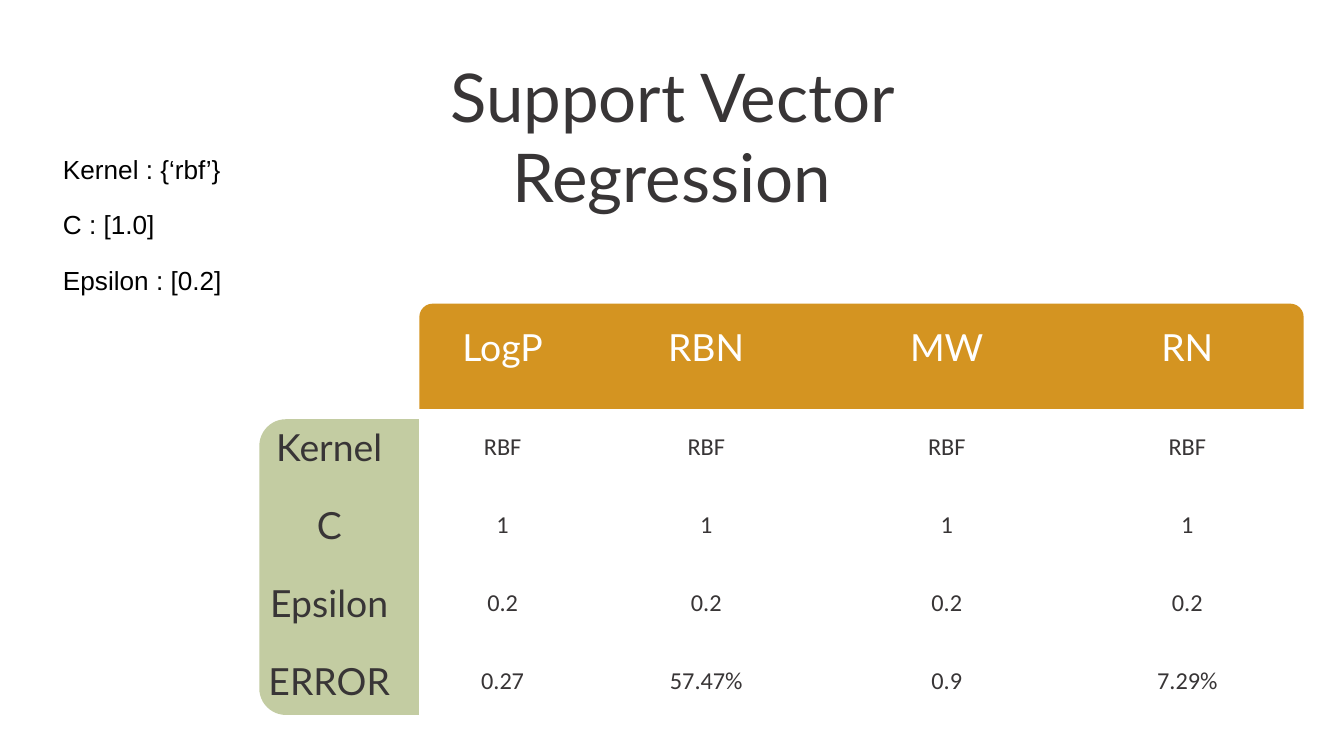
from pptx import Presentation
from pptx.dml.color import RGBColor
from pptx.enum.shapes import MSO_SHAPE
from pptx.enum.text import MSO_ANCHOR, MSO_AUTO_SIZE, PP_ALIGN
from pptx.util import Inches, Pt

COLORS = {"gold": "D49421", "sage": "C3CCA2", "white": "FFFFFF",
          "ink": "383536", "black": "000000"}
PLAIN = "{2D5ABB26-0587-4C30-8999-92F81FD0307C}"  # table style without grid


def tint(name):
    return RGBColor.from_string(COLORS[name])


def style(par, face, size, color):
    font = par.runs[0].font
    font.name, font.size, font.bold = face, Pt(size), False
    font.color.rgb = tint(color)


deck = Presentation()
deck.slide_width = Inches(10)
deck.slide_height = deck.slide_width * 9 // 16
slide = deck.slides.add_slide(deck.slide_layouts[5])
shapes = slide.shapes

# Title
title = shapes.title
title.left, title.top = Inches(2.65), Inches(0.31)
title.width, title.height = Inches(4.7), Inches(0.69)
frame = title.text_frame
frame.text = "Support Vector Regression"
frame.word_wrap = True
frame.auto_size = MSO_AUTO_SIZE.NONE
frame.vertical_anchor = MSO_ANCHOR.TOP
frame.margin_left = frame.margin_right = Inches(0.1)
frame.margin_top = frame.margin_bottom = Inches(0.1)
frame.paragraphs[0].alignment = PP_ALIGN.CENTER
style(frame.paragraphs[0], "Lato", 36, "ink")

# Rounded panels behind the table: header, row labels, body
panels = [("gold", 3.12, 2.26, 6.58, 1.1),
          ("sage", 1.93, 3.12, 4.7, 2.2),
          ("white", 3.12, 3.13, 6.58, 2.23)]
for color, *box in panels:
    panel = shapes.add_shape(MSO_SHAPE.ROUNDED_RECTANGLE, *map(Inches, box))
    panel.adjustments[0] = 0.09
    panel.shadow.inherit = False
    panel.fill.solid()
    panel.fill.fore_color.rgb = tint(color)
    panel.line.fill.background()

# Table of settings and errors
rows = [["", "LogP", "RBN", "MW", "RN"],
        ["Kernel"] + ["RBF"] * 4,
        ["C"] + ["1"] * 4,
        ["Epsilon"] + ["0.2"] * 4,
        ["ERROR", "0.27", "57.47%", "0.9", "7.29%"]]
widths = [1.34, 1.24] + [1.79] * 3
heights = [0.91] + [0.58] * 4
grid = shapes.add_table(len(rows), len(widths), Inches(1.78), Inches(2.13),
                        Inches(sum(widths)), Inches(sum(heights))).table
grid.first_row = grid.horz_banding = False
grid._tbl.tblPr[0].text = PLAIN
for col, width in zip(grid.columns, widths):
    col.width = Inches(width)
for row, height in zip(grid.rows, heights):
    row.height = Inches(height)

for r, row in enumerate(rows):
    for c, text in enumerate(row):
        cell = grid.cell(r, c)
        cell.vertical_anchor = MSO_ANCHOR.MIDDLE
        cell.margin_left = cell.margin_right = Inches(0.08)
        cell.margin_top = cell.margin_bottom = Inches(0.08)
        if r and c:
            cell.fill.solid()
            cell.fill.fore_color.rgb = tint("white")
        else:
            cell.fill.background()
        if not text:
            continue
        cell.text_frame.text = text
        par = cell.text_frame.paragraphs[0]
        par.alignment = PP_ALIGN.CENTER
        if r and c:
            style(par, "Calibri", 13, "ink")
        else:
            style(par, "Lato", 20, "ink" if r else "white")

# Parameter notes
notes = [("Kernel : {‘rbf’}", 1.38), ("C : [1.0]", 0.89), ("Epsilon : [0.2]", 1.39)]
for i, (text, width) in enumerate(notes):
    note = shapes.add_textbox(Inches(0.37), Inches(1.09 + 0.415 * i),
                              Inches(width), Inches(0.34))
    note.text_frame.text = text
    note.text_frame.word_wrap = False
    note.text_frame.auto_size = MSO_AUTO_SIZE.SHAPE_TO_FIT_TEXT
    style(note.text_frame.paragraphs[0], "Arial", 14, "black")

deck.save("out.pptx")
